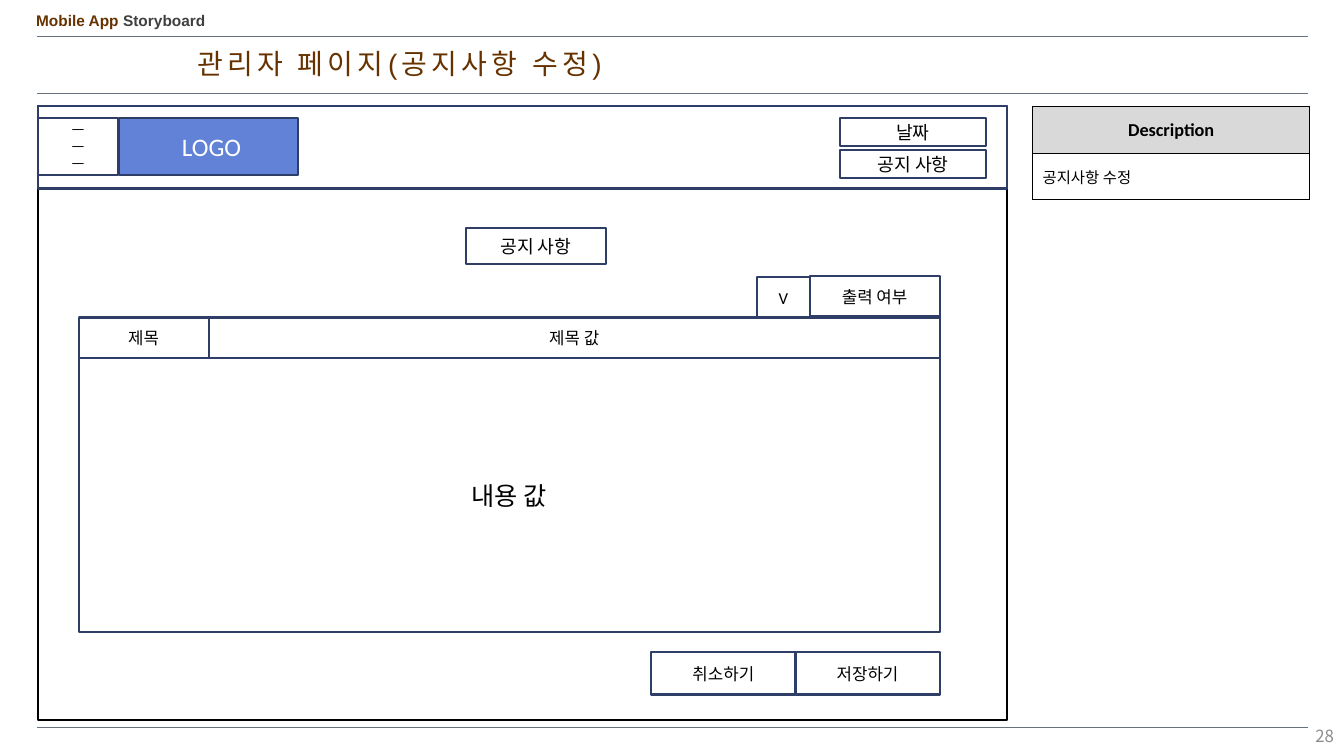
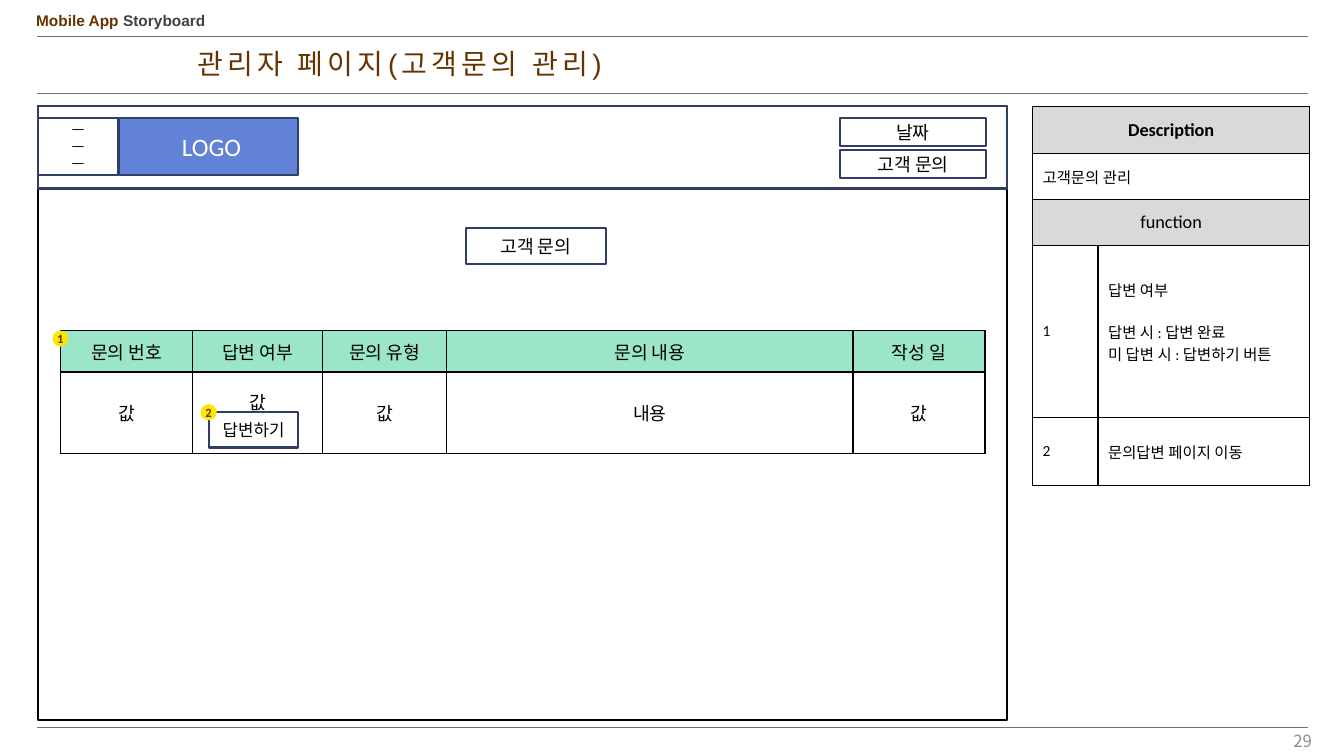
from lxml import etree
from pptx import Presentation
from pptx import util as u
from pptx.dml.color import RGBColor
from pptx.enum import shapes, text
from pptx.oxml.ns import qn

PX = 9144
BLACK, WHITE = "000000", "FFFFFF"
NAVY, BLUE, MINT, YELLOW = "2E3E67", "6182D6", "9BE5C8", "FCE700"
BROWN, CHARCOAL, RULE, HEADING, NUMBER = "663300", "404040", "68727E", "D9D9D9", "8C8C8C"
LEFT, CENTER, RIGHT = text.PP_ALIGN.LEFT, text.PP_ALIGN.CENTER, text.PP_ALIGN.RIGHT
TOP, MIDDLE = text.MSO_ANCHOR.TOP, text.MSO_ANCHOR.MIDDLE


def px(length):
    return u.Emu(length * PX)


def rgb(value):
    return RGBColor.from_string(value)


def add_span(para, words, *, size=13, color=BLACK, font="Calibri", bold=False, tracking=0):
    span = para.add_run()
    span.text = words
    span.font.size = u.Pt(size)
    span.font.name = font
    span.font.bold = bold
    span.font.color.rgb = rgb(color)
    if tracking:
        span.font._element.set("spc", str(tracking * 100))


def write(frame, words, *, align=CENTER, spacing=None, gaps=(), **style):
    for index, line in enumerate(words.split("\n")):
        para = frame.add_paragraph() if index else frame.paragraphs[0]
        para.alignment = align
        if spacing:
            para.line_spacing = spacing
        if index in gaps:
            para.space_before = u.Pt(14)
        add_span(para, line, **style)


def add_label(page, area, words, *, anchor=TOP, grow=False, **style):
    frame = page.shapes.add_textbox(*map(px, area)).text_frame
    frame.word_wrap = True
    frame.vertical_anchor = anchor
    if grow:
        frame.auto_size = text.MSO_AUTO_SIZE.SHAPE_TO_FIT_TEXT
    write(frame, words, **style)
    return frame


def add_box(page, area, words="", *, fill=WHITE, line=NAVY, kind="RECTANGLE", **style):
    box = page.shapes.add_shape(shapes.MSO_SHAPE[kind], *map(px, area))
    box.shadow.inherit = False
    box.fill.solid()
    box.fill.fore_color.rgb = rgb(fill)
    if line:
        box.line.color.rgb = rgb(line)
        box.line.width = u.Pt(1.5)
    else:
        box.line.fill.background()
    frame = box.text_frame
    frame.word_wrap = True
    frame.vertical_anchor = MIDDLE
    if words:
        write(frame, words, **style)
    return frame


def add_marker(page, left, top, number):
    frame = add_box(page, (left, top, 16, 16), number, fill=YELLOW, line=None,
                    kind="OVAL", size=9, color=BROWN, bold=True)
    frame.margin_left = frame.margin_right = frame.margin_top = frame.margin_bottom = 0


def add_rule(page, top):
    rule = page.shapes.add_connector(shapes.MSO_CONNECTOR.STRAIGHT,
                                     px(37), px(top), px(1297), px(top))
    rule.line.color.rgb = rgb(RULE)
    rule.line.width = u.Pt(0.25)
    etree.SubElement(rule._element.spPr, qn("a:effectLst"))


def add_borders(cell):
    properties = cell._tc.get_or_add_tcPr()
    for side in ("lnL", "lnR", "lnT", "lnB"):
        border = etree.SubElement(properties, qn(f"a:{side}"), w=str(u.Pt(1)))
        paint = etree.SubElement(border, qn("a:solidFill"))
        etree.SubElement(paint, qn("a:srgbClr"), val=BLACK)


def add_grid(page, left, top, columns, rows):
    table = page.shapes.add_table(len(rows), len(columns), px(left), px(top),
                                  px(sum(columns)), px(sum(rows))).table
    table.first_row = table.horz_banding = False
    for column, width in zip(table.columns, columns):
        column.width = px(width)
    for row, height in zip(table.rows, rows):
        row.height = px(height)
    for cell in table.iter_cells():
        add_borders(cell)
    return table


def fill_cell(cell, words, *, fill=WHITE, room_below=0, **style):
    cell.fill.solid()
    cell.fill.fore_color.rgb = rgb(fill)
    cell.vertical_anchor = MIDDLE
    cell.margin_bottom = u.Pt(3.6 + room_below)
    write(cell.text_frame, words, **style)


def add_description(page, topic, notes=()):
    note = dict(size=11, align=LEFT)
    bands = [("Description", dict(fill=HEADING, bold=True)), (topic, note)]
    if notes:
        bands.append(("function", dict(fill=HEADING)))
    heights = [46] * len(bands) + [height for height, _, _ in notes]
    table = add_grid(page, 1024, 106, (65, 210), heights)
    for row, (words, style) in enumerate(bands):
        table.cell(row, 0).merge(table.cell(row, 1))
        fill_cell(table.cell(row, 0), words, **style)
    for index, (_, words, style) in enumerate(notes):
        row = len(bands) + index
        fill_cell(table.cell(row, 0), str(index + 1), **note)
        fill_cell(table.cell(row, 1), words, **note, **style)


def add_page(deck, title, section, number, number_area):
    page = deck.slides.add_slide(deck.slide_layouts[6])
    for top in (36, 92, 721):
        add_rule(page, top)
    header = add_label(page, (26, 10, 357, 25), "Mobile App ", grow=True, align=LEFT,
                       spacing=0.8, size=11, font="Arial", color=BROWN, bold=True)
    add_span(header.paragraphs[0], "Storyboard", size=11, font="Arial",
             color=CHARCOAL, bold=True)
    add_label(page, (186, 45, 480, 40), title, grow=True, align=LEFT, spacing=0.9,
              size=20, font="Arial", color=BROWN, tracking=3)
    add_label(page, number_area, number, anchor=MIDDLE, align=RIGHT, size=12,
              font="Noto Sans CJK KR", color=NUMBER)
    add_box(page, (38, 105, 961, 609), line=BLACK)
    add_box(page, (38, 105, 961, 82))
    add_box(page, (118, 117, 178, 57), " LOGO", fill=BLUE, size=18, color=WHITE)
    add_box(page, (38, 117, 79, 57), "ㅡ\nㅡ\nㅡ", size=10)
    for top, words in ((117, "날짜"), (149, section)):
        add_box(page, (833, top, 145, 28), words)
    add_box(page, (462, 226, 139, 36), section)
    return page


def add_notice_edit(deck):
    page = add_page(deck, "관리자 페이지(공지사항 수정)", "공지 사항", "28",
                    (1046, 710, 287, 40))
    add_description(page, "공지사항 수정")
    left, right, label, button = 78, 932, 129, 143
    fields = [
        ((left, 315, label, 40), "제목", 12),
        ((left + label, 315, right - left - label, 40), "제목 값", 12),
        ((right - label, 274, label, 40), "출력 여부", 12),
        ((right - label - 52, 275, 52, 40), "V", 12),
        ((left, 355, right - left, 272), "내용 값", 18),
        ((right - button, 647, button, 42), "저장하기", 12),
        ((right - 2 * button, 647, button, 42), "취소하기", 12),
    ]
    for area, words, size in fields:
        add_box(page, area, words, size=size)


def add_inquiry_list(deck):
    page = add_page(deck, "관리자 페이지(고객문의 관리)", "고객 문의", "29",
                    (1024, 715, 287, 40))
    add_description(page, "고객문의 관리", [
        (170, "답변 여부\n답변 시 : 답변 완료\n미 답변 시 : 답변하기 버튼",
         dict(gaps=(1,), room_below=14)),
        (68, "문의답변 페이지 이동", {}),
    ])
    columns = [
        (131, "문의 번호", "값", 0),
        (129, "답변 여부", "값", 16),
        (123, "문의 유형", "값", 0),
        (403, "문의 내용", "내용", 0),
        (131, "작성 일", "값", 0),
    ]
    table = add_grid(page, 60, 328, [column[0] for column in columns], (41, 81))
    for index, (_, heading, value, room) in enumerate(columns):
        fill_cell(table.cell(0, index), heading, fill=MINT)
        fill_cell(table.cell(1, index), value, room_below=room)
    add_box(page, (207, 409, 89, 35), "답변하기", size=12)
    add_marker(page, 52, 328, "1")
    add_marker(page, 199, 401, "2")


def main():
    deck = Presentation()
    deck.slide_width, deck.slide_height = px(1333), px(750)
    add_notice_edit(deck)
    add_inquiry_list(deck)
    deck.save("out.pptx")


if __name__ == "__main__":
    main()
